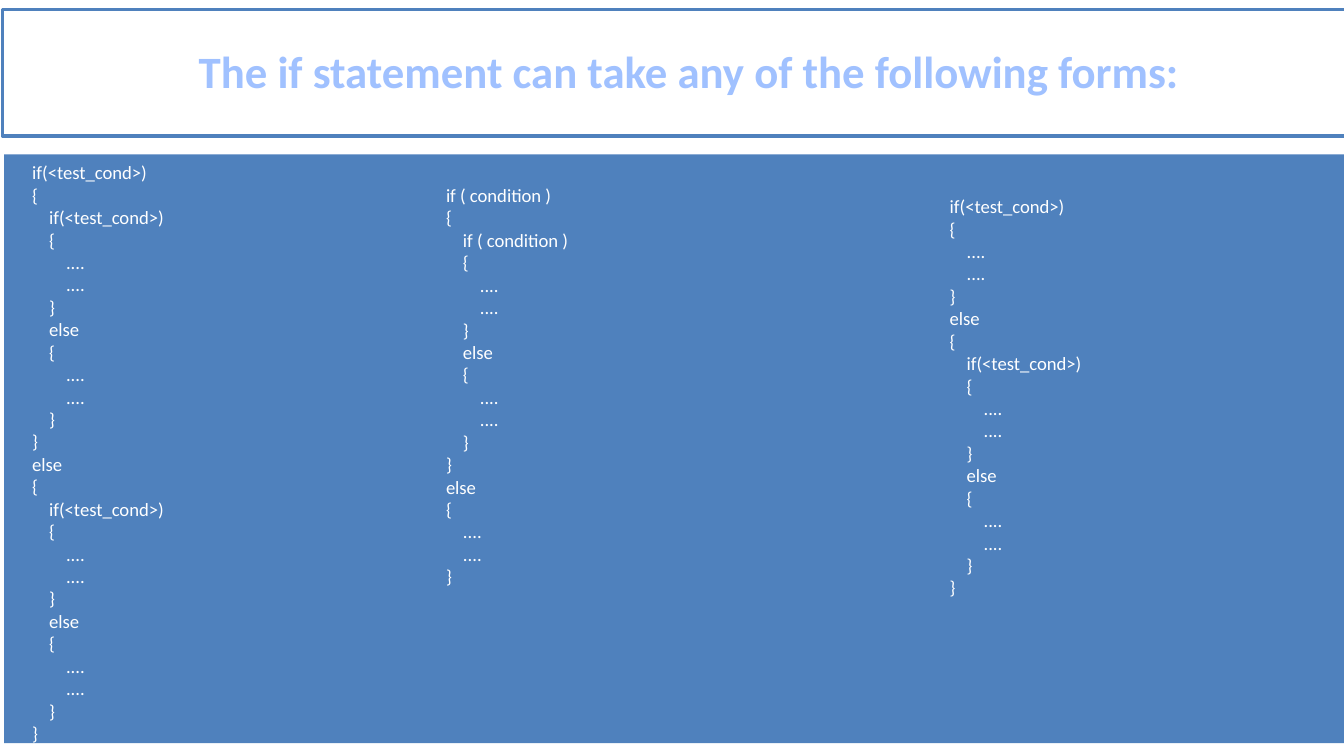
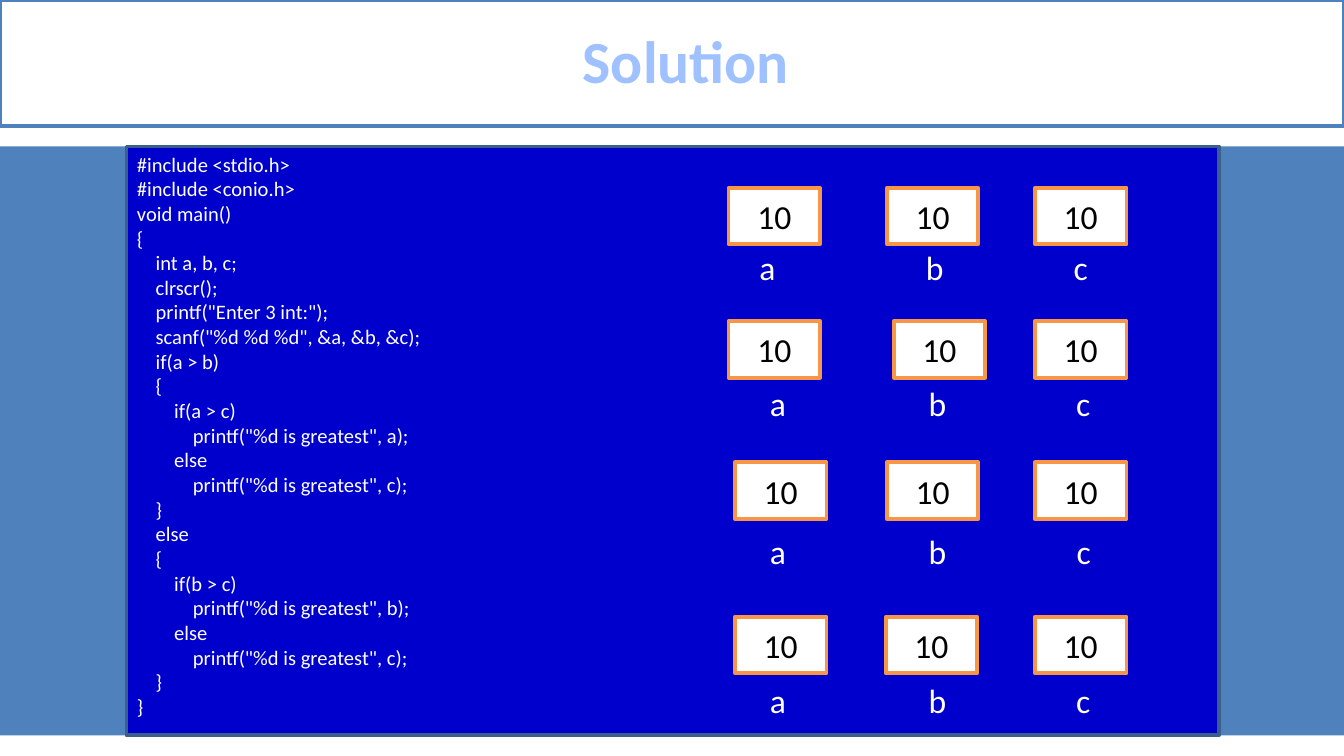
import pptx
import pptx.dml.color
import pptx.enum.shapes
import pptx.enum.text
import pptx.util
from pptx.util import Cm

# Shared look
FONT = "Calibri"
WHITE, BLACK = "FFFFFF", "000000"
BLUE, TITLE_BLUE = "4F81BD", "A0C1FF"
NAVY, NAVY_EDGE, ORANGE = "0000CC", "3A5F8C", "F79646"
SLIDE_WIDTH, SLIDE_HEIGHT = 25.4, 14.29
TITLE_HEIGHT, PANEL_HEIGHT = 2.39, 11.13
INDENT_STEP = 4  # spaces per level in a listing

GREATEST_PROGRAM = """\
#include <stdio.h>
#include <conio.h>
void main()
{
    int a, b, c;
    clrscr();
    printf("Enter 3 int:");
    scanf("%d %d %d", &a, &b, &c);
    if(a > b)
    {
        if(a > c)
            printf("%d is greatest", a);
        else
            printf("%d is greatest", c);
    }
    else
    {
        if(b > c)
            printf("%d is greatest", b);
        else
            printf("%d is greatest", c);
    }
}"""

# Variable cells: box top, box lefts, label top, label lefts
VARIABLE_ROWS = [
    (3.55, (13.77, 16.76, 19.56), 4.55, (14.1, 17.25, 20.04)),
    (6.07, (13.77, 16.89, 19.56), 7.11, (14.3, 17.3, 20.09)),
    (8.74, (13.89, 16.76, 19.56), 9.91, (14.3, 17.3, 20.1)),
    (11.66, (13.89, 16.74, 19.56), 12.73, (14.3, 17.3, 20.09)),
]
LABEL_WIDTHS = {"a": 0.81, "b": 0.86, "c": 0.79}


def color(hex_string):
    return pptx.dml.color.RGBColor.from_string(hex_string)


def set_font(para, size, hex_color, bold=False):
    para.font.name = FONT
    para.font.size = pptx.util.Pt(size)
    para.font.bold = bold
    para.font.color.rgb = color(hex_color)


def set_left_margin(para, length):
    properties = para._p.get_or_add_pPr()
    properties.set("marL", str(int(length)))
    properties.set("indent", "0")


def add_box(page, left, top, width, height, fill, line=None):
    box = page.shapes.add_shape(
        pptx.enum.shapes.MSO_SHAPE.RECTANGLE,
        Cm(left), Cm(top), Cm(width), Cm(height))
    box.shadow.inherit = False
    box.fill.solid()
    box.fill.fore_color.rgb = color(fill)
    if line:
        box.line.color.rgb = color(line)
        box.line.width = pptx.util.Pt(2)
    else:
        box.line.fill.background()
    return box


def write_centered(box, text, size, hex_color, bold=False):
    box.text_frame.vertical_anchor = pptx.enum.text.MSO_ANCHOR.MIDDLE
    para = box.text_frame.paragraphs[0]
    para.text = text
    para.alignment = pptx.enum.text.PP_ALIGN.CENTER
    set_font(para, size, hex_color, bold)
    return para


def add_title(page, left, top, text, size):
    band = add_box(page, left, top, SLIDE_WIDTH, TITLE_HEIGHT, WHITE, BLUE)
    para = write_centered(band, text, size, TITLE_BLUE, bold=True)
    para.line_spacing = 0.96
    set_left_margin(para, Cm(0.53))


def add_text(page, left, top, width, height, lines, size, margin=0, wrap=True):
    """Write one paragraph a line, turning leading spaces into indents."""
    box = page.shapes.add_textbox(Cm(left), Cm(top), Cm(width), Cm(height))
    frame = box.text_frame
    frame.word_wrap = wrap
    frame.auto_size = pptx.enum.text.MSO_AUTO_SIZE.SHAPE_TO_FIT_TEXT
    for number, line in enumerate(lines):
        para = frame.add_paragraph() if number else frame.paragraphs[0]
        para.text = line.lstrip()
        level = (len(line) - len(para.text)) // INDENT_STEP
        set_font(para, size, WHITE)
        set_left_margin(para, Cm(margin + level * 0.032 * size))


def block(lines):
    return ["{"] + [" " * INDENT_STEP + line for line in lines] + ["}"]


def if_else(condition, then_lines, else_lines):
    return [condition] + block(then_lines) + ["else"] + block(else_lines)


def build_forms(page):
    add_box(page, 0.08, 2.92, SLIDE_WIDTH, PANEL_HEIGHT, BLUE)
    add_title(page, 0.05, 0.18,
              "The if statement can take any of the following forms:", 24)

    # The three nestings
    test, condition = "if(<test_cond>)", "if ( condition )"
    dots = ["...."] * 2
    inner_test = if_else(test, dots, dots)
    inner_condition = if_else(condition, dots, dots)
    forms = [
        (0.36, 2.92, 11.38, if_else(test, inner_test, inner_test)),
        (8.18, 3.35, 7.95, if_else(condition, inner_condition, dots)),
        (17.7, 3.56, 7.95, if_else(test, dots, inner_test)),
    ]
    for left, top, height, lines in forms:
        add_text(page, left, top, 6.6, height, lines, 10)


def build_solution(page):
    add_box(page, 0, 2.77, SLIDE_WIDTH, PANEL_HEIGHT, BLUE)
    add_title(page, 0, 0, "Solution", 32)

    # Program listing
    add_box(page, 2.39, 2.77, 20.65, PANEL_HEIGHT, NAVY, NAVY_EDGE)
    add_text(page, -0.2, 2.74, 25.6, 11.07,
             GREATEST_PROGRAM.splitlines(), 11, margin=2.54)

    # Variables and their values
    for box_top, box_lefts, label_top, label_lefts in VARIABLE_ROWS:
        for left in box_lefts:
            cell = add_box(page, left, box_top, 1.73, 1.07, WHITE, ORANGE)
            write_centered(cell, "10", 18, BLACK)
        for left, (name, width) in zip(label_lefts, LABEL_WIDTHS.items()):
            add_text(page, left, label_top, width, 1.02, [name], 18, wrap=False)


def main():
    deck = pptx.Presentation()
    deck.slide_width, deck.slide_height = Cm(SLIDE_WIDTH), Cm(SLIDE_HEIGHT)
    blank = deck.slide_layouts[6]
    for build in (build_forms, build_solution):
        build(deck.slides.add_slide(blank))
    deck.save("out.pptx")


if __name__ == "__main__":
    main()
